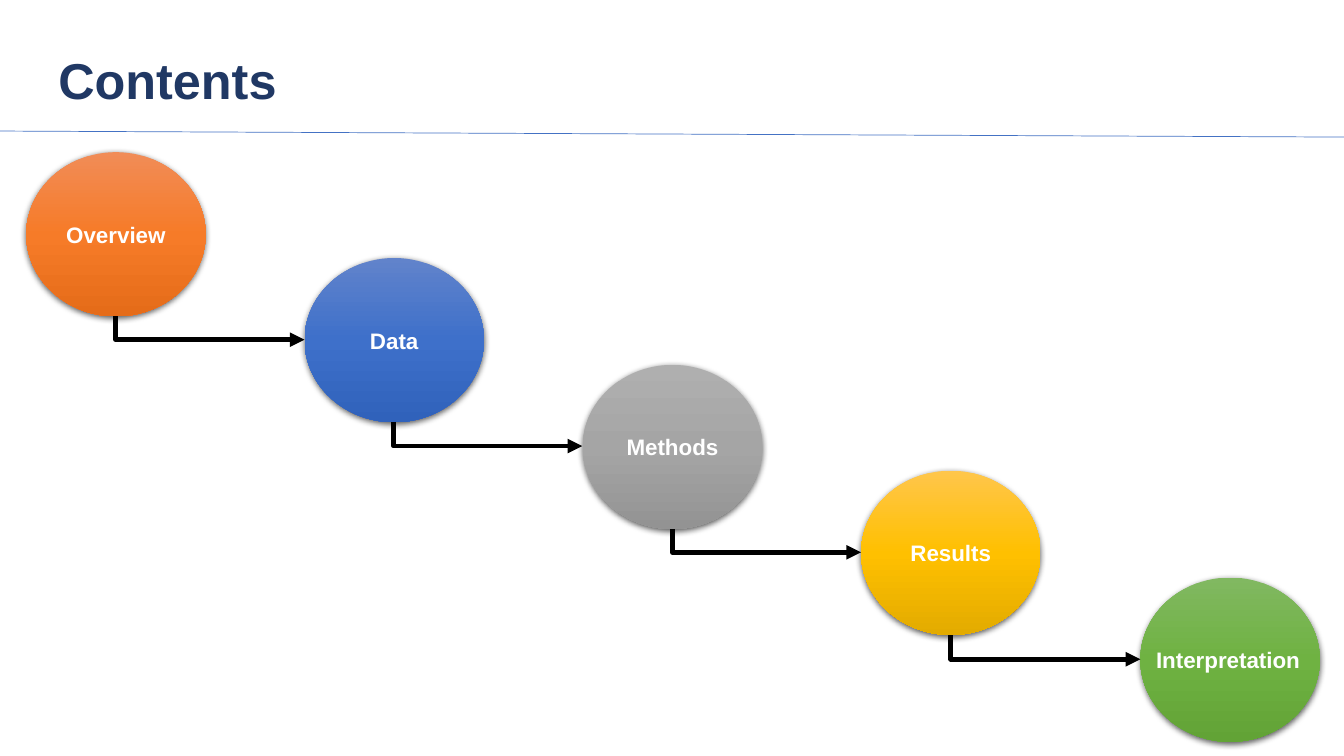
from copy import deepcopy

from lxml.etree import SubElement
from pptx import Presentation
from pptx.dml.color import RGBColor
from pptx.enum.shapes import MSO_CONNECTOR, MSO_SHAPE
from pptx.enum.text import MSO_ANCHOR, PP_ALIGN
from pptx.oxml.ns import qn
from pptx.util import Pt

PX = 9144  # 100 px to the inch
COLORS = {
    "title": "203864", "rule": "4472C4", "label": "FFFFFF", "arrow": "000000",
    "Overview": ("F18C57", "F67B28", "E56C19"),
    "Data": ("6183CB", "3E70CA", "3062BB"),
    "Methods": ("AFAFAF", "A5A5A5", "939393"),
    "Results": ("FFC64B", "FFC000", "E3AB00"),
    "Interpretation": ("81B861", "6FB242", "62A336"),
}
CIRCLE_W, CIRCLE_H = 178, 163


def write(shape, text, size=16, color="label", align=PP_ALIGN.CENTER,
          anchor=MSO_ANCHOR.MIDDLE, spacing=1.0):
    frame = shape.text_frame
    frame.word_wrap = True
    frame.vertical_anchor = anchor
    paragraph = frame.paragraphs[0]
    paragraph.alignment = align
    paragraph.line_spacing = spacing
    run = paragraph.add_run()
    run.text = text
    run.font.name = "Arial"
    run.font.size = Pt(size)
    run.font.bold = True
    run.font.color.rgb = RGBColor.from_string(COLORS[color])


def draw_line(kind, x1, y1, x2, y2, color, width):
    line = slide.shapes.add_connector(kind, x1 * PX, y1 * PX, x2 * PX, y2 * PX)
    line.line.color.rgb = RGBColor.from_string(COLORS[color])
    line.line.width = Pt(width)
    SubElement(line._element.spPr, qn("a:effectLst"))
    return line


prs = Presentation()
prs.slide_width, prs.slide_height = 1333 * PX, 750 * PX
slide = prs.slides.add_slide(prs.slide_layouts[6])

# Heading and rule
draw_line(MSO_CONNECTOR.STRAIGHT, 0, 130, 1333, 136, "rule", 0.5)
heading = slide.shapes.add_textbox(48 * PX, 33 * PX, 1150 * PX, 99 * PX)
write(heading, "Contents", size=36, color="title", align=PP_ALIGN.LEFT, spacing=0.9)

# Descending circles
topics = ["Overview", "Data", "Methods", "Results", "Interpretation"]
corners = [(26 + 1105 * i // 4, 151 + 211 * i // 2) for i in range(len(topics))]
circles = []
for topic, (left, top) in zip(topics, corners):
    circle = slide.shapes.add_shape(
        MSO_SHAPE.OVAL, left * PX, top * PX, CIRCLE_W * PX, CIRCLE_H * PX)
    circles.append(circle)
    circle.line.fill.background()

    # Three-stop gradient, light at the top
    circle.fill.gradient()
    circle.fill.gradient_angle = 270
    stops = circle._element.spPr.find(".//" + qn("a:gsLst"))
    stops.append(deepcopy(stops[0]))
    for stop, position, shade in zip(circle.fill.gradient_stops, (0, 0.5, 1), COLORS[topic]):
        stop.position = position
        stop.color.rgb = RGBColor.from_string(shade)

    # Soft shadow below
    circle.shadow.inherit = False
    effects = circle._element.spPr.find(qn("a:effectLst"))
    shadow = SubElement(effects, qn("a:outerShdw"), blurRad=str(Pt(4.5)),
                        dist=str(Pt(1.5)), dir="5400000", algn="ctr", rotWithShape="0")
    shadow_color = SubElement(shadow, qn("a:srgbClr"), val="000000")
    SubElement(shadow_color, qn("a:alpha"), val="63000")

    # The longest label is wider than its circle's text area
    if topic == "Interpretation":
        label = slide.shapes.add_textbox(1102 * PX, 636 * PX, 232 * PX, 37 * PX)
        write(label, topic, anchor=MSO_ANCHOR.TOP)
    else:
        write(circle, topic)

# Arrows from the bottom of each circle to the left of the next
for i, (left, top) in enumerate(corners[:-1]):
    start_x, start_y = left + CIRCLE_W // 2, top + CIRCLE_H
    end_x, end_y = corners[i + 1][0], corners[i + 1][1] + CIRCLE_H // 2
    run, drop = end_x - start_x, end_y - start_y
    # The frame is a quarter turn of the visible box about the same centre
    x = (start_x + end_x - drop) // 2
    y = (start_y + end_y - run) // 2
    arrow = draw_line(MSO_CONNECTOR.ELBOW, x, y, x + drop, y + run, "arrow", 3.5)
    properties = arrow._element.spPr
    frame = properties.find(qn("a:xfrm"))
    frame.set("rot", "16200000")
    frame.set("flipH", "1")
    properties.find(qn("a:prstGeom")).set("prst", "bentConnector2")
    SubElement(properties.find(qn("a:ln")), qn("a:tailEnd"), type="triangle")
    links = arrow._element.find(".//" + qn("p:cNvCxnSpPr"))
    SubElement(links, qn("a:stCxn"), id=str(circles[i].shape_id), idx="4")
    SubElement(links, qn("a:endCxn"), id=str(circles[i + 1].shape_id), idx="2")

prs.save("out.pptx")
